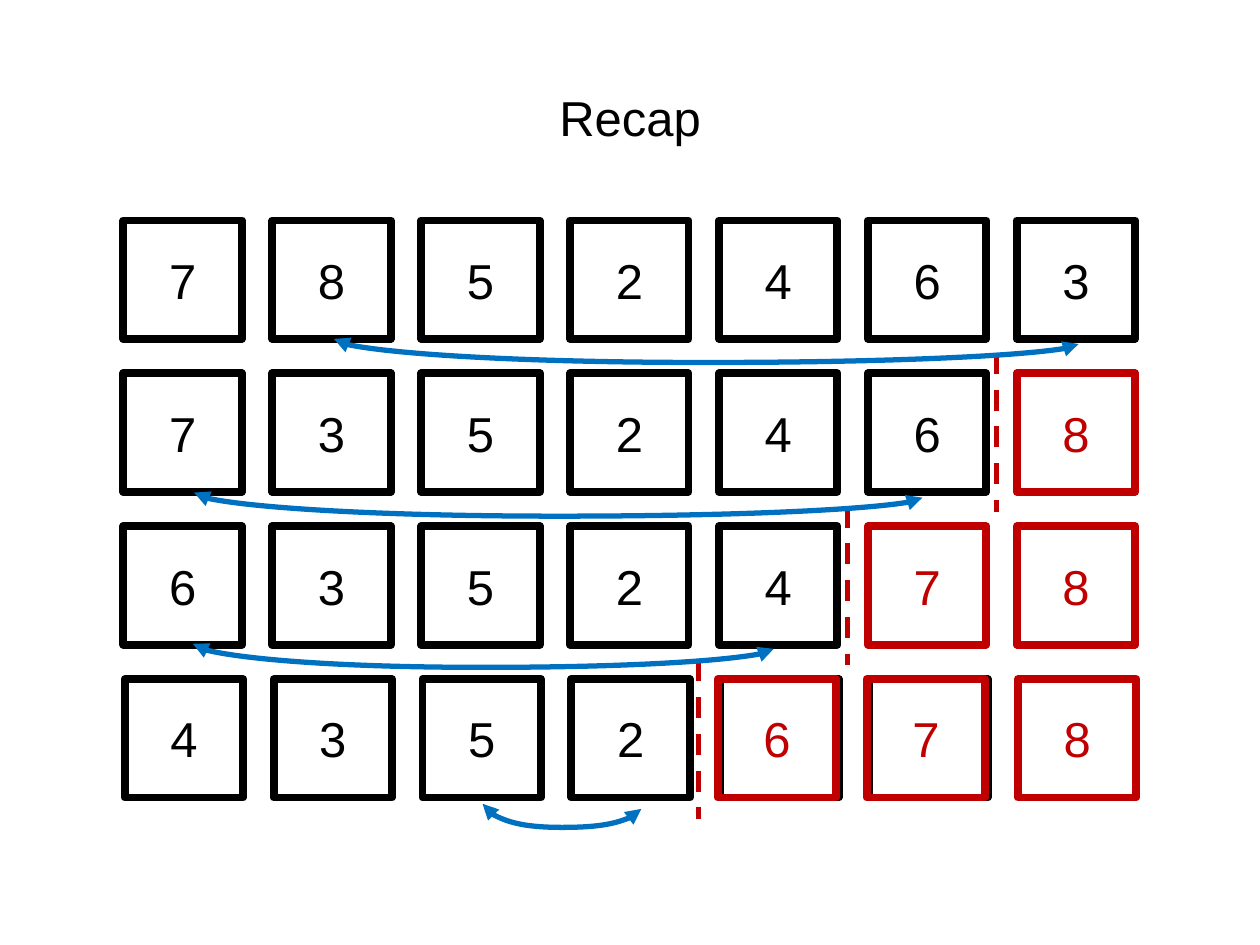
import pptx
import pptx.util
from lxml import etree
from pptx.dml.color import RGBColor
from pptx.enum.dml import MSO_LINE
from pptx.enum.shapes import MSO_CONNECTOR, MSO_SHAPE
from pptx.enum.text import MSO_ANCHOR, PP_ALIGN
from pptx.oxml.ns import qn
from pptx.util import Inches

BLACK, RED, BLUE = "000000", "C00000", "0070C0"

TITLE = "Recap"
PASSES = [
    {"values": "7852463", "sorted": 0, "left": 0.98},
    {"values": "7352468", "sorted": 1, "left": 0.98},
    {"values": "6352478", "sorted": 2, "left": 0.98},
    {"values": "4352678", "sorted": 3, "left": 0.99},
]
SWAPS = [(2.65, 8.56, 2.69), (1.54, 7.32, 3.91), (1.53, 6.14, 5.11), (3.83, 5.09, 6.38)]
OVERLAID = {(3, 4), (3, 5)}

CELL = 0.94
COLUMN_PITCH = (8.07 - 0.98) / 6
FIRST_TOP, ROW_PITCH = 1.75, (5.39 - 1.75) / 3
OVERLAY_SHIFT = 0.02
DIVIDER_LEFT, DIVIDER_TOP, DIVIDER_LENGTH = 7.91, 2.8, 1.26
DIVIDER_PITCH = 1.22
SWAP_RISE, SWAP_DIP = 0.04, 466600


def color(hex_code):
    return RGBColor.from_string(hex_code)


def write(holder, text, size=28, font="Arial", fill=BLACK, align=PP_ALIGN.CENTER):
    frame = holder.text_frame
    frame.word_wrap = True
    frame.vertical_anchor = MSO_ANCHOR.MIDDLE
    paragraph = frame.paragraphs[0]
    paragraph.alignment = align
    run = paragraph.add_run()
    run.text = text
    run.font.size = pptx.util.Pt(size)
    run.font.name = font
    run.font.color.rgb = color(fill)


def add_cell(slide, left, top, ink, value=None):
    cell = slide.shapes.add_shape(
        MSO_SHAPE.RECTANGLE, Inches(left), Inches(top), Inches(CELL), Inches(CELL))
    cell.shadow.inherit = False
    cell.fill.background()
    cell.line.color.rgb = color(ink)
    cell.line.width = pptx.util.Pt(4.5)
    if value:
        write(cell, value, fill=ink)


def add_line(slide, kind, start, end, ink):
    line = slide.shapes.add_connector(kind, *map(Inches, start + end))
    line.line.color.rgb = color(ink)
    line.line.width = pptx.util.Pt(3)
    etree.SubElement(line._element.spPr, qn("a:effectLst"))
    return line


def add_swap(slide, left, right, top):
    middle_x, middle_y = (left + right) / 2, top + SWAP_RISE / 2
    half_span, half_rise = (right - left) / 2, SWAP_RISE / 2
    swap = add_line(
        slide, MSO_CONNECTOR.CURVE,
        (middle_x + half_rise, middle_y - half_span),
        (middle_x - half_rise, middle_y + half_span), BLUE)
    swap.rotation = 270
    properties = swap._element.spPr
    properties.find(qn("a:xfrm")).set("rot", str(270 * 60000))
    geometry = properties.find(qn("a:prstGeom"))
    adjustments = geometry.find(qn("a:avLst"))
    if adjustments is None:
        adjustments = etree.SubElement(geometry, qn("a:avLst"))
    etree.SubElement(adjustments, qn("a:gd"), name="adj1", fmla=f"val {SWAP_DIP}")
    outline = properties.find(qn("a:ln"))
    for end in ("a:headEnd", "a:tailEnd"):
        etree.SubElement(outline, qn(end), type="triangle")


def main():
    deck = pptx.Presentation()
    deck.slide_width, deck.slide_height = Inches(10), Inches(7.5)
    slide = deck.slides.add_slide(deck.slide_layouts[6])

    title = slide.shapes.add_textbox(Inches(0.5), Inches(0.3), Inches(9), Inches(1.25))
    write(title, TITLE)

    for row, step in enumerate(PASSES):
        top = FIRST_TOP + row * ROW_PITCH
        first_sorted = len(step["values"]) - step["sorted"]
        for column, value in enumerate(step["values"]):
            left = step["left"] + column * COLUMN_PITCH
            if (row, column) in OVERLAID:
                add_cell(slide, left, top, BLACK)
                left -= OVERLAY_SHIFT
            add_cell(slide, left, top, RED if column >= first_sorted else BLACK, value)

    for index in range(3):
        left = DIVIDER_LEFT - index * COLUMN_PITCH
        top = DIVIDER_TOP + index * DIVIDER_PITCH
        divider = add_line(
            slide, MSO_CONNECTOR.STRAIGHT, (left, top), (left, top + DIVIDER_LENGTH), RED)
        divider.line.dash_style = MSO_LINE.DASH

    for swap in SWAPS:
        add_swap(slide, *swap)

    deck.save("out.pptx")


if __name__ == "__main__":
    main()
